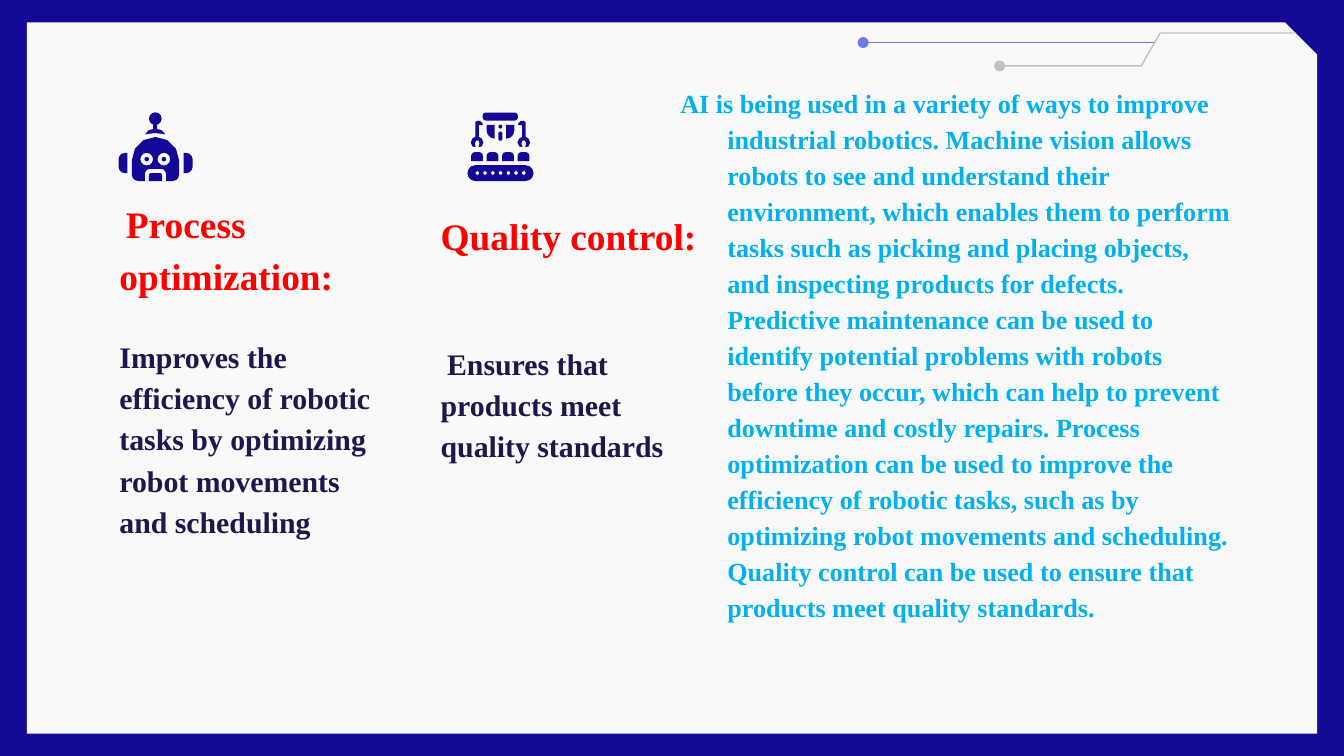
"""Build a slide on AI uses in industrial robotics."""
from dataclasses import dataclass
from math import cos, pi, sin

from lxml.etree import SubElement
from pptx import Presentation
from pptx.dml.color import RGBColor
from pptx.enum.shapes import MSO_CONNECTOR, MSO_SHAPE
from pptx.enum.text import MSO_ANCHOR
from pptx.oxml.ns import qn
from pptx.util import Pt


@dataclass(frozen=True)
class Theme:
    font: str = "Times New Roman"
    navy: RGBColor = RGBColor.from_string("130994")
    paper: RGBColor = RGBColor.from_string("F9F9F9")
    violet: RGBColor = RGBColor.from_string("6F79E3")
    grey: RGBColor = RGBColor.from_string("C1C1C1")
    red: RGBColor = RGBColor.from_string("FF0000")
    ink: RGBColor = RGBColor.from_string("1F164D")
    sky: RGBColor = RGBColor.from_string("00B0F0")
    heading: int = 20
    body: int = 16
    detail: int = 14


theme = Theme()
deck = Presentation()
deck.slide_width, deck.slide_height = Pt(720), Pt(405)
page = deck.slides.add_slide(deck.slide_layouts[6])
page.background.fill.solid()
page.background.fill.fore_color.rgb = theme.navy


def rounded(left, top, width, height, top_left=0, top_right=0, bottom_right=0, bottom_left=0):
    right, bottom = left + width, top + height
    corners = [
        (left + top_left, top + top_left, top_left),
        (right - top_right, top + top_right, top_right),
        (right - bottom_right, bottom - bottom_right, bottom_right),
        (left + bottom_left, bottom - bottom_left, bottom_left),
    ]
    return [
        (x + radius * cos(pi + (quarter + step / 3) * pi / 2),
         y + radius * sin(pi + (quarter + step / 3) * pi / 2))
        for quarter, (x, y, radius) in enumerate(corners)
        for step in (range(4) if radius else [0])
    ]


def write(para, text, size, color, before=0, margin=0, indent=0):
    properties = para._p.get_or_add_pPr()
    properties.set("marL", str(Pt(margin)))
    properties.set("indent", str(Pt(indent)))
    para.line_spacing = 1.15
    para.space_before = Pt(before)
    span = para.add_run()
    span.text = text
    span.font.name = theme.font
    span.font.size = Pt(size)
    span.font.bold = True
    span.font.color.rgb = color


panel = page.shapes.add_shape(MSO_SHAPE.SNIP_1_RECTANGLE, Pt(14.4), Pt(12), Pt(691.2), Pt(381))
panel.adjustments[0] = 0.045
panel.shadow.inherit = False
panel.fill.solid()
panel.fill.fore_color.rgb = theme.paper
panel.line.fill.background()

straight = page.shapes.add_connector(
    MSO_CONNECTOR.STRAIGHT, Pt(462.4), Pt(22.8), Pt(618.5), Pt(22.8))
builder = page.shapes.build_freeform(Pt(694.1), Pt(17.7))
builder.add_line_segments(
    [(Pt(x), Pt(y)) for x, y in [(621.5, 17.7), (611.4, 35.3), (555.8, 35.3), (535.5, 35.3)]],
    close=False)
stepped = builder.convert_to_shape()
stepped.fill.background()
stepped.shadow.inherit = False
for trace, color, end in [(straight, theme.violet, "a:headEnd"), (stepped, theme.grey, "a:tailEnd")]:
    trace.line.color.rgb = color
    trace.line.width = Pt(0.75)
    SubElement(trace._element.spPr.find(qn("a:ln")), qn(end), type="oval")
SubElement(straight._element.spPr, qn("a:effectLst"))

robot = [
    rounded(79.8, 60.2, 6.8, 6.8, *[3.4] * 4),
    [(82.1, 66.9), (84.2, 66.9), (84.2, 69.1), (86.8, 69.9), (88.6, 72),
     (83.2, 71.3), (77.8, 72), (79.5, 69.9), (82.1, 69.1)],
    rounded(63.5, 82, 4.8, 10.8, top_left=3.4, bottom_left=3.4),
    rounded(98.4, 82, 4.8, 10.8, top_right=3.4, bottom_right=3.4),
    rounded(70.6, 73.4, 25.4, 23.6, 12.7, 12.7, 3.5, 3.5),
    rounded(77.6, 90.5, 11.4, 6.5, 2.8, 2.8),
    rounded(79.8, 92.8, 7, 4.2, 1, 1),
]
for center in (78.6, 87.8):
    for radius in (3.4, 1.2):
        robot.append(rounded(
            center - radius, 85.3 - radius, 2 * radius, 2 * radius, *[radius] * 4))

arm = [
    (254.8, 78.8), (254.3, 76.9), (255, 75.4), (256.4, 75.4), (256.9, 76.9),
    (256.3, 78.8), (258, 78.5), (259, 76.3), (258, 74.2), (256.5, 73.3),
    (256.5, 67), (258.7, 67), (258.5, 66.1), (257.2, 64.8), (255.6, 64.8),
    (254.6, 65.5), (254.6, 73.3), (253.1, 74.2), (252.2, 76.3), (253.1, 78.5),
]
conveyor = [
    rounded(258.6, 60.3, 18.8, 4.3, *[1.6] * 4),
    arm,
    [(536.2 - x, y) for x, y in arm],
    rounded(260.7, 66.9, 4.3, 7.4, bottom_left=4.3),
    rounded(271.2, 66.9, 4.3, 7.4, bottom_right=4.3),
    rounded(267, 66.8, 2.1, 2.1, *[1.05] * 4),
    rounded(267, 70.5, 2.1, 4.9, *[1] * 4),
    rounded(250.4, 88.5, 35.4, 8.5, *[4.25] * 4),
]
for column in range(4):
    conveyor.append(rounded(252.4 + 8.3 * column, 81.5, 6.3, 4.8, 2, 2))
for column in range(7):
    conveyor.append(rounded(254.7 + 4.15 * column, 91.7, 2, 2, *[1] * 4))

for icon in (conveyor, robot):
    builder = page.shapes.build_freeform(Pt(icon[0][0][0]), Pt(icon[0][0][1]))
    for outline in icon:
        points = [(Pt(x), Pt(y)) for x, y in outline]
        if outline is not icon[0]:
            builder.move_to(*points[0])
        builder.add_line_segments(points[1:])
    drawing = builder.convert_to_shape()
    drawing.shadow.inherit = False
    drawing.fill.solid()
    drawing.fill.fore_color.rgb = theme.navy
    drawing.line.fill.background()

heading = dict(size=theme.heading, color=theme.red)
body = dict(size=theme.body, color=theme.ink)
detail = dict(size=theme.detail, color=theme.sky, margin=36, indent=-25.2)
blocks = [
    (229, 48.2, 155.5, 97.2, MSO_ANCHOR.BOTTOM, [("Quality control:", heading)]),
    (56.9, 97.2, 157, 241.2, MSO_ANCHOR.TOP, [
        ("Process optimization:", heading | dict(indent=3.5)),
        ("Improves the efficiency of robotic tasks by optimizing robot movements and scheduling",
         body | dict(before=19))]),
    (229, 175, 136.8, 119.5, MSO_ANCHOR.TOP, [
        ("Ensures that products meet quality standards", body | dict(indent=3.5))]),
    (346.6, 36.9, 324, 313.9, MSO_ANCHOR.TOP, [
        ("AI is being used in a variety of ways to improve industrial robotics. "
         "Machine vision allows robots to see and understand their environment, "
         "which enables them to perform tasks such as picking and placing objects, "
         "and inspecting products for defects. Predictive maintenance can be used to "
         "identify potential problems with robots before they occur, which can help to "
         "prevent downtime and costly repairs. Process optimization can be used to "
         "improve the efficiency of robotic tasks, such as by optimizing robot movements "
         "and scheduling. Quality control can be used to ensure that products meet "
         "quality standards.", detail)]),
]
for left, top, width, height, anchor, paragraphs in blocks:
    frame = page.shapes.add_textbox(Pt(left), Pt(top), Pt(width), Pt(height)).text_frame
    frame.word_wrap = True
    frame.vertical_anchor = anchor
    frame.margin_left = frame.margin_right = frame.margin_top = frame.margin_bottom = Pt(7.2)
    for index, (text, style) in enumerate(paragraphs):
        write(frame.add_paragraph() if index else frame.paragraphs[0], text, **style)

deck.save("out.pptx")
